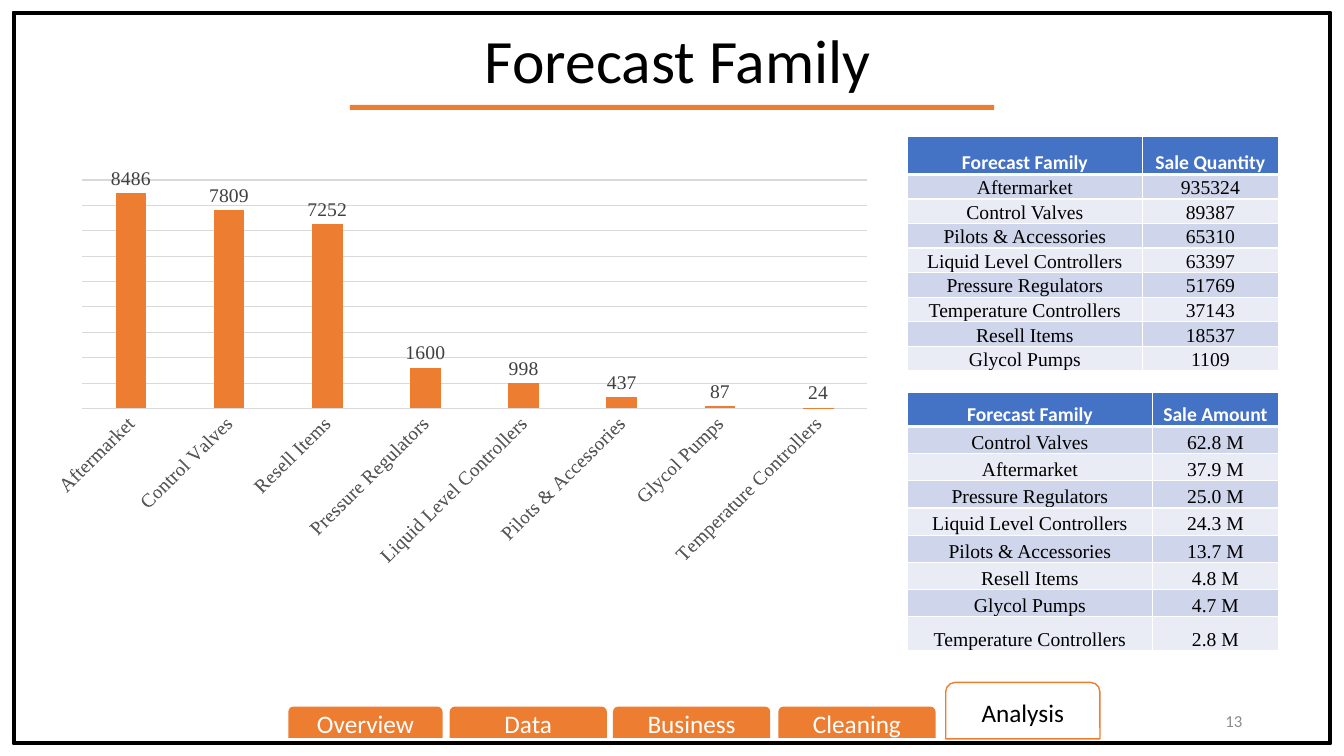
from lxml import etree
from pptx import Presentation
from pptx.chart.data import CategoryChartData
from pptx.dml.color import RGBColor
from pptx.enum.chart import XL_CHART_TYPE, XL_LABEL_POSITION, XL_TICK_MARK
from pptx.enum.shapes import MSO_SHAPE
from pptx.enum.text import MSO_ANCHOR, PP_ALIGN
from pptx.oxml.ns import qn
from pptx.util import Inches, Pt

CENTER, RIGHT = PP_ALIGN.CENTER, PP_ALIGN.RIGHT
MIDDLE, BOTTOM = MSO_ANCHOR.MIDDLE, MSO_ANCHOR.BOTTOM
SANS, SERIF = "Calibri", "Times New Roman"
COLORS = {
    "black": "000000", "white": "FFFFFF", "orange": "ED7D31", "blue": "4472C4",
    "band_dark": "CFD5EA", "band_light": "E9EBF5", "grid": "D9D9D9",
    "axis_text": "595959", "label_text": "404040", "page_number": "8C8C8C",
}
RGB = {name: RGBColor.from_string(value) for name, value in COLORS.items()}


def add_box(kind, left, top, width, height, fill, line=None):
    shape = slide.shapes.add_shape(
        kind, Inches(left), Inches(top), Inches(width), Inches(height))
    shape.shadow.inherit = False
    shape.fill.solid()
    shape.fill.fore_color.rgb = RGB[fill]
    if line:
        shape.line.color.rgb = RGB[line]
        shape.line.width = Pt(1)
    else:
        shape.line.fill.background()
    return shape


def write(text_frame, text, size, color, font=SANS, align=CENTER, bold=False):
    text_frame.text = text
    paragraph = text_frame.paragraphs[0]
    paragraph.alignment = align
    run_font = paragraph.runs[0].font
    run_font.name, run_font.size, run_font.bold = font, Pt(size), bold
    run_font.color.rgb = RGB[color]


presentation = Presentation()
presentation.slide_width, presentation.slide_height = Inches(13.33), Inches(7.5)
slide = presentation.slides.add_slide(presentation.slide_layouts[6])

# Column chart
chart_data = CategoryChartData()
chart_data.categories = [
    "Aftermarket", "Control Valves", "Resell Items", "Pressure Regulators",
    "Liquid Level Controllers", "Pilots & Accessories", "Glycol Pumps",
    "Temperature Controllers"]
chart_data.add_series("Series 1", [8486, 7809, 7252, 1600, 998, 437, 87, 24])
chart = slide.shapes.add_chart(
    XL_CHART_TYPE.COLUMN_CLUSTERED, Inches(0.37), Inches(1.66),
    Inches(8.4), Inches(4.04), chart_data).chart
chart.has_legend = False
chart.has_title = False
chart.font.name, chart.font.size = SANS, Pt(10)
chart.font.color.rgb = RGB["black"]

plot = chart.plots[0]
plot.vary_by_categories = False
plot.gap_width, plot.overlap = 219, -27
columns = plot.series[0]
columns.format.fill.solid()
columns.format.fill.fore_color.rgb = RGB["orange"]
labels = columns.data_labels
labels.show_value = True
labels.position = XL_LABEL_POSITION.OUTSIDE_END

category_axis, value_axis = chart.category_axis, chart.value_axis
category_axis.major_tick_mark = XL_TICK_MARK.NONE
category_axis.tick_labels.font.size = Pt(14)
category_axis._element.find(qn("c:txPr")).find(qn("a:bodyPr")).set("rot", "-2700000")
value_axis.visible = False
value_axis.minimum_scale, value_axis.maximum_scale = 0, 9000
value_axis.major_unit = 1000
value_axis.has_major_gridlines = True
for line in (category_axis.format.line, value_axis.major_gridlines.format.line):
    line.color.rgb = RGB["grid"]
    line.width = Pt(0.75)
for font, color in ((category_axis.tick_labels.font, "axis_text"),
                    (labels.font, "label_text")):
    font.name, font.size = SERIF, Pt(14)
    font.color.rgb = RGB[color]

# Slide border, title and rule
border = add_box(MSO_SHAPE.FRAME, 0.13, 0.12, 13.07, 7.26, "black", "black")
border.adjustments[0] = 0.003
add_box(MSO_SHAPE.RECTANGLE, 3.47, 1.04, 6.39, 0.05, "orange")
title = slide.shapes.add_textbox(
    Inches(0.13), Inches(0.17), Inches(13.07), Inches(0.84)).text_frame
title.word_wrap = True
title.margin_left = Inches(0.22)
write(title, "Forecast Family", 44, "black")

# Section tabs, with the current one raised
TABS = [
    ("Analysis", 9.38, 6.77, 1.53, 0.56, "white", "orange", "black"),
    ("Overview", 2.86, 7.01, 1.53, 0.31, "orange", None, "white"),
    ("Data", 4.46, 7.01, 1.56, 0.31, "orange", None, "white"),
    ("Business", 6.08, 7.01, 1.56, 0.31, "orange", None, "white"),
    ("Cleaning", 7.72, 7.01, 1.56, 0.31, "orange", None, "white"),
]
for name, left, top, width, height, fill, line, color in TABS:
    tab = add_box(MSO_SHAPE.ROUND_2_SAME_RECTANGLE, left, top, width, height, fill, line)
    tab.text_frame.vertical_anchor = MIDDLE
    write(tab.text_frame, name, 18, color)

# Tables: top, column widths, row heights, rows
TABLES = [
    (1.35, (2.33, 1.35), [0.38] + [0.24] * 8, [
        ("Forecast Family", "Sale Quantity"),
        ("Aftermarket", "935324"),
        ("Control Valves", "89387"),
        ("Pilots & Accessories", "65310"),
        ("Liquid Level Controllers", "63397"),
        ("Pressure Regulators", "51769"),
        ("Temperature Controllers", "37143"),
        ("Resell Items", "18537"),
        ("Glycol Pumps", "1109")]),
    (3.89, (2.43, 1.25), [0.34] + [0.27] * 7 + [0.34], [
        ("Forecast Family", "Sale Amount"),
        ("Control Valves", "62.8 M"),
        ("Aftermarket", "37.9 M"),
        ("Pressure Regulators", "25.0 M"),
        ("Liquid Level Controllers", "24.3 M"),
        ("Pilots & Accessories", "13.7 M"),
        ("Resell Items", "4.8 M"),
        ("Glycol Pumps", "4.7 M"),
        ("Temperature Controllers", "2.8 M")]),
]
for top, widths, heights, rows in TABLES:
    table = slide.shapes.add_table(
        len(rows), 2, Inches(9), Inches(top),
        Inches(sum(widths)), Inches(sum(heights))).table
    for column, width in zip(table.columns, widths):
        column.width = Inches(width)
    for row_index, (height, texts) in enumerate(zip(heights, rows)):
        table.rows[row_index].height = Inches(height)
        is_header = row_index == 0
        fill = "blue" if is_header else "band_dark" if row_index % 2 else "band_light"
        for column_index, text in enumerate(texts):
            cell = table.cell(row_index, column_index)
            cell.margin_left = cell.margin_right = cell.margin_top = Inches(0.01)
            cell.margin_bottom = 0
            cell.vertical_anchor = BOTTOM
            write(cell.text_frame, text, 14, "white" if is_header else "black",
                  SANS if is_header else SERIF, bold=is_header)

            # Borders come before the fill in the cell properties
            properties = cell._tc.get_or_add_tcPr()
            for side in ("lnL", "lnR", "lnT", "lnB"):
                thick = (is_header and side == "lnB") or (row_index == 1 and side == "lnT")
                edge = etree.SubElement(
                    properties, qn("a:" + side), w=str(Pt(3 if thick else 1)))
                edge_fill = etree.SubElement(edge, qn("a:solidFill"))
                etree.SubElement(edge_fill, qn("a:srgbClr"), val=COLORS["white"])
            cell.fill.solid()
            cell.fill.fore_color.rgb = RGB[fill]

# Page number
page_number = slide.shapes.add_textbox(
    Inches(9.42), Inches(6.95), Inches(3), Inches(0.4)).text_frame
page_number.word_wrap = True
page_number.vertical_anchor = MIDDLE
write(page_number, "13", 12, "page_number", align=RIGHT)

presentation.save("out.pptx")
